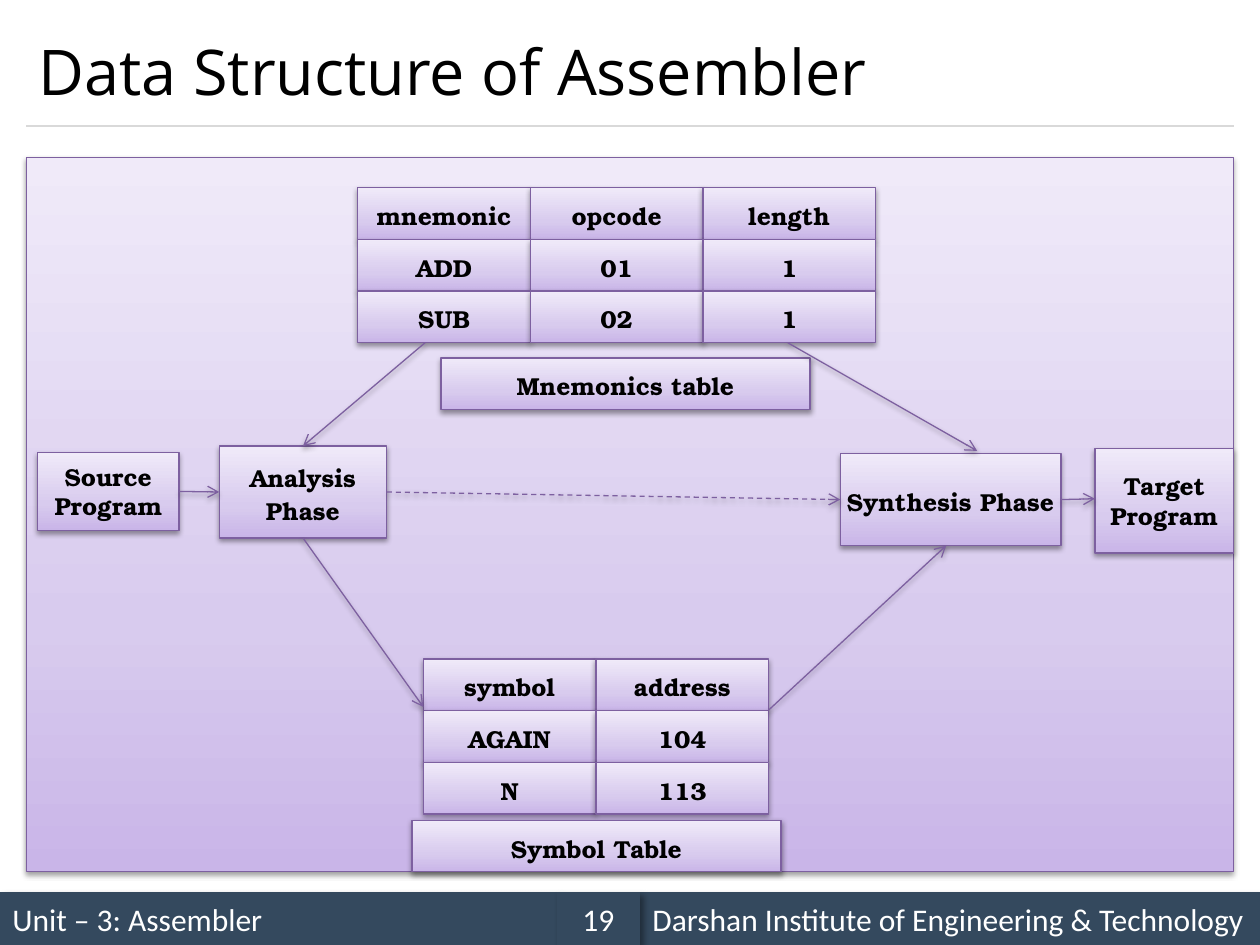
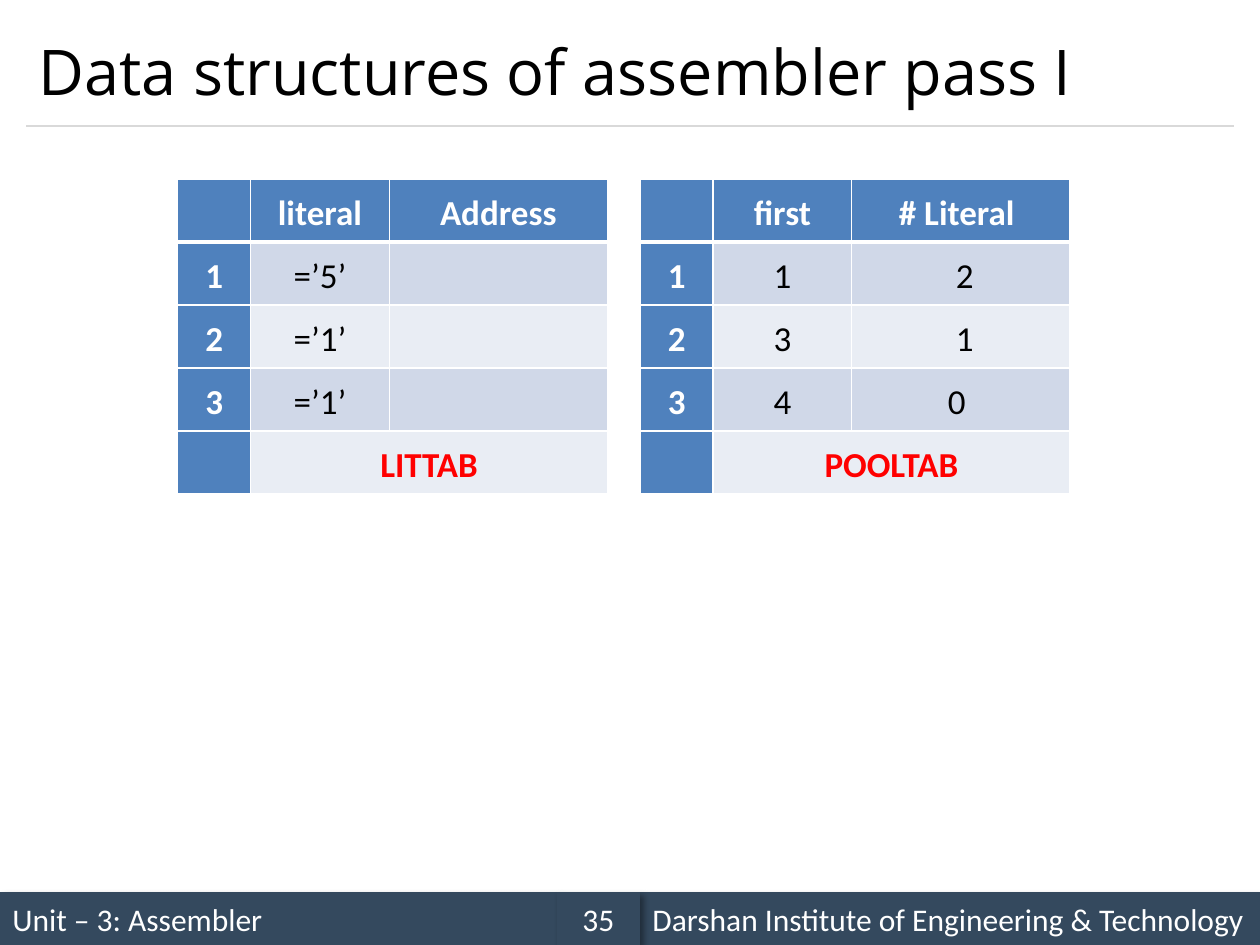
from dataclasses import dataclass

from lxml import etree
from pptx import Presentation
from pptx import util as u
from pptx.dml.color import RGBColor
from pptx.enum import dml, shapes, text
from pptx.oxml.ns import qn

# ---------- content ----------
UNIT = "Unit – 3: Assembler"
INSTITUTE = "Darshan Institute of Engineering & Technology"

DIAGRAM_TITLE, DIAGRAM_NUMBER = "Data Structure of Assembler", 19
TABLES_TITLE, TABLES_NUMBER = "Data structures of assembler pass I", 35

# name: (left, top, rows of cells)
CELL_GRIDS = {
    "mnemonics": (2.84, 1.49, [("mnemonic", "opcode", "length"),
                               ("ADD", "01", "1"),
                               ("SUB", "02", "1")]),
    "symbols": (3.36, 5.23, [("symbol", "address"),
                             ("AGAIN", "104"),
                             ("N", "113")]),
}
# name: (label, (left, top, width, height), line spacing)
BOXES = {
    "analysis": ("Analysis Phase", (1.74, 3.54, 1.33, 0.73), 1.15),
    "synthesis": ("Synthesis Phase", (6.67, 3.6, 1.75, 0.73), 1.15),
    "mnemonics label": ("Mnemonics table", (3.5, 2.84, 2.93, 0.41), 1.15),
    "symbols label": ("Symbol Table", (3.27, 6.51, 2.93, 0.41), 1.15),
    "source": ("Source Program", (0.3, 3.59, 1.12, 0.62), 1.0),
    "target": ("Target Program", (8.69, 3.56, 1.1, 0.83), 1.0),
}
# each end: (part, share of its width, share of its height); then dashed or not
ARROWS = [
    (("mnemonics", 0.13, 1), ("analysis", 0.5, 0), False),
    (("mnemonics", 0.83, 1), ("synthesis", 0.62, -0.03), False),
    (("analysis", 0.5, 1), ("symbols", 0, 0.31), False),
    (("symbols", 1, 0.33), ("synthesis", 0.48, 1), False),
    (("analysis", 1, 0.5), ("synthesis", 0, 0.5), True),
    (("synthesis", 1, 0.5), ("target", 0, 0.48), False),
    (("source", 1, 0.5), ("analysis", 0, 0.5), False),
]
# the last row is a caption across the last two columns
LITERAL_TABLES = [
    [("", "literal", "Address"),
     ("1", "=’5’", ""),
     ("2", "=’1’", ""),
     ("3", "=’1’", ""),
     ("", "LITTAB", "")],
    [("", "first", "# Literal "),
     ("1", "1", " 2"),
     ("2", "3", " 1"),
     ("3", "4", "0 "),
     ("", "POOLTAB", "")],
]


# ---------- theme and grid ----------
@dataclass(frozen=True)
class Theme:
    title_font: str = "Open Sans"
    body_font: str = "Calibri"
    diagram_font: str = "TeX Gyre Bonum"
    title_size: int = 36
    footer_size: int = 18
    table_size: int = 20
    diagram_size: int = 14
    black: str = "000000"
    white: str = "FFFFFF"
    red: str = "FF0000"
    rule: str = "D9D9D9"
    footer: str = "34495E"
    outline: str = "7D60A0"
    header: str = "4F81BD"
    bands: tuple = ("D0D8E8", "E9EDF4")
    lilac: tuple = ((0, "C9B5E8"), (35, "D8CBEE"), (100, "F0EAF9"))
    # opacity %, blur, distance, angle
    footer_shadow: tuple = (40, 4, 3, 45)
    box_shadow: tuple = (38, 3.1, 1.6, 90)


THEME = Theme()
SLIDE_W, SLIDE_H = 10, 7.5
MARGIN = 0.21
BODY_W = SLIDE_W - 2 * MARGIN
RULE_Y = 1
FOOTER_H = 0.42
FOOTER_TOP = SLIDE_H - FOOTER_H
FOOTER_STOPS = (0, 4.42, 5.08, SLIDE_W)
CELL_W, CELL_H = 1.37, 0.41
PANEL = (MARGIN, 1.25, BODY_W, 5.67)
TABLE_LEFTS, TABLE_TOP = (1.41, 5.08), 1.42
TABLE_COLS, TABLE_ROW = (0.58, 1.1, 1.73), 0.5
CENTER = text.PP_ALIGN.CENTER


def rgb(color):
    return RGBColor.from_string(color)


def inches(lengths):
    return [u.Inches(length) for length in lengths]


def child(parent, tag, **attributes):
    values = {name: str(value) for name, value in attributes.items()}
    return etree.SubElement(parent, qn(tag), values)


def add_shadow(item, opacity, blur, distance, angle):
    properties = item._element.spPr
    effects = properties.find(qn("a:effectLst"))
    if effects is None:
        effects = child(properties, "a:effectLst")
    shadow = child(effects, "a:outerShdw", blurRad=u.Pt(blur), dist=u.Pt(distance),
                   dir=angle * 60000, rotWithShape=0)
    color = child(shadow, "a:srgbClr", val=THEME.black)
    child(color, "a:alpha", val=opacity * 1000)


def fill_lilac(box):
    """Three-stop gradient, darkest at the bottom."""
    box.fill.background()
    properties = box._element.spPr
    gradient = etree.Element(qn("a:gradFill"), rotWithShape="1")
    stops = child(gradient, "a:gsLst")
    for position, color in THEME.lilac:
        stop = child(stops, "a:gs", pos=position * 1000)
        child(stop, "a:srgbClr", val=color)
    child(gradient, "a:lin", ang=270 * 60000, scaled=0)
    properties.replace(properties.find(qn("a:noFill")), gradient)


def write(frame, words, font, size, color, bold=False, align=text.PP_ALIGN.LEFT, spacing=1.0):
    frame.word_wrap = True
    para = frame.paragraphs[0]
    para.alignment = align
    para.line_spacing = spacing
    span = para.add_run()
    span.text = words
    span.font.name = font
    span.font.size = u.Pt(size)
    span.font.bold = bold
    span.font.color.rgb = rgb(color)


def add_box(page, place):
    box = page.shapes.add_shape(shapes.MSO_SHAPE.RECTANGLE, *inches(place))
    box.shadow.inherit = False
    box.text_frame.vertical_anchor = text.MSO_ANCHOR.MIDDLE
    return box


def add_lilac_box(page, place, words="", spacing=1.15):
    box = add_box(page, place)
    fill_lilac(box)
    box.line.color.rgb = rgb(THEME.outline)
    box.line.width = u.Pt(0.75)
    add_shadow(box, *THEME.box_shadow)
    if words:
        frame = box.text_frame
        frame.margin_left = frame.margin_right = frame.margin_top = frame.margin_bottom = 0
        write(frame, words, THEME.diagram_font, THEME.diagram_size, THEME.black,
              bold=True, align=CENTER, spacing=spacing)


def add_line(page, start, end, color):
    line = page.shapes.add_connector(shapes.MSO_CONNECTOR.STRAIGHT, *inches((*start, *end)))
    line.line.color.rgb = rgb(color)
    line.line.width = u.Pt(0.75)
    child(line._element.spPr, "a:effectLst")
    return line


def add_arrow(page, start, end, dashed):
    arrow = add_line(page, start, end, THEME.outline)
    if dashed:
        arrow.line.dash_style = dml.MSO_LINE.DASH
    child(arrow._element.spPr.find(qn("a:ln")), "a:tailEnd", type="arrow")
    add_shadow(arrow, *THEME.box_shadow)


def new_page(deck, title, number):
    """Blank page with the shared title, rule and footer."""
    page = deck.slides.add_slide(deck.slide_layouts[6])
    add_line(page, (MARGIN, RULE_Y), (SLIDE_W - MARGIN, RULE_Y), THEME.rule)
    left, middle, right, end = FOOTER_STOPS
    footers = [(left, middle, UNIT, text.PP_ALIGN.LEFT),
               (right, end, INSTITUTE, text.PP_ALIGN.LEFT),
               (middle, right, str(number), CENTER)]
    for start, stop, words, align in footers:
        band = add_box(page, (start, FOOTER_TOP, stop - start, FOOTER_H))
        band.fill.solid()
        band.fill.fore_color.rgb = rgb(THEME.footer)
        band.line.fill.background()
        add_shadow(band, *THEME.footer_shadow)
        write(band.text_frame, words, THEME.body_font, THEME.footer_size,
              THEME.white, align=align)
    heading = page.shapes.add_textbox(*inches((MARGIN, 0.12, BODY_W, 0.88)))
    heading.text_frame.vertical_anchor = text.MSO_ANCHOR.MIDDLE
    write(heading.text_frame, title, THEME.title_font, THEME.title_size, THEME.black)
    return page


def draw_diagram(page):
    add_lilac_box(page, PANEL)
    places = {name: place for name, (_, place, _) in BOXES.items()}
    for name, (left, top, rows) in CELL_GRIDS.items():
        places[name] = (left, top, CELL_W * len(rows[0]), CELL_H * len(rows))
        for r, row in enumerate(rows):
            for c, words in enumerate(row):
                add_lilac_box(page, (left + c * CELL_W, top + r * CELL_H, CELL_W, CELL_H), words)
    for words, place, spacing in BOXES.values():
        add_lilac_box(page, place, words, spacing)

    def point(name, across, down):
        left, top, width, height = places[name]
        return left + across * width, top + down * height

    for start, end, dashed in ARROWS:
        add_arrow(page, point(*start), point(*end), dashed)


def set_borders(cell, widths):
    properties = cell._tc.get_or_add_tcPr()
    for index, (side, width) in enumerate(widths.items()):
        border = etree.Element(qn(f"a:ln{side}"), w=str(u.Pt(width)))
        fill = child(border, "a:solidFill")
        child(fill, "a:srgbClr", val=THEME.white)
        properties.insert(index, border)


def draw_literal_table(page, left, rows):
    place = (left, TABLE_TOP, sum(TABLE_COLS), TABLE_ROW * len(rows))
    table = page.shapes.add_table(len(rows), len(TABLE_COLS), *inches(place)).table
    for column, width in zip(table.columns, TABLE_COLS):
        column.width = u.Inches(width)
    last = len(rows) - 1
    for r, row in enumerate(rows):
        table.rows[r].height = u.Inches(TABLE_ROW)
        for c, words in enumerate(row):
            cell = table.cell(r, c)
            heading = r == 0 or c == 0
            cell.fill.solid()
            cell.fill.fore_color.rgb = rgb(THEME.header if heading else THEME.bands[(r - 1) % 2])
            set_borders(cell, {"L": 1, "R": 1, "T": 1, "B": 3} if r == 0
                        else {"L": 1, "R": 1, "B": 1})
            cell.vertical_anchor = text.MSO_ANCHOR.MIDDLE
            cell.margin_left = cell.margin_right = u.Inches(0.07)
            cell.margin_top = cell.margin_bottom = 0
            if words:
                color = THEME.white if heading else THEME.red if r == last else THEME.black
                write(cell.text_frame, words, THEME.body_font, THEME.table_size, color,
                      bold=heading or r == last, align=CENTER, spacing=1.15)
    table.cell(last, 1).merge(table.cell(last, 2))


def main():
    deck = Presentation()
    deck.slide_width, deck.slide_height = inches((SLIDE_W, SLIDE_H))
    draw_diagram(new_page(deck, DIAGRAM_TITLE, DIAGRAM_NUMBER))
    page = new_page(deck, TABLES_TITLE, TABLES_NUMBER)
    for left, rows in zip(TABLE_LEFTS, LITERAL_TABLES):
        draw_literal_table(page, left, rows)
    deck.save("out.pptx")


if __name__ == "__main__":
    main()
